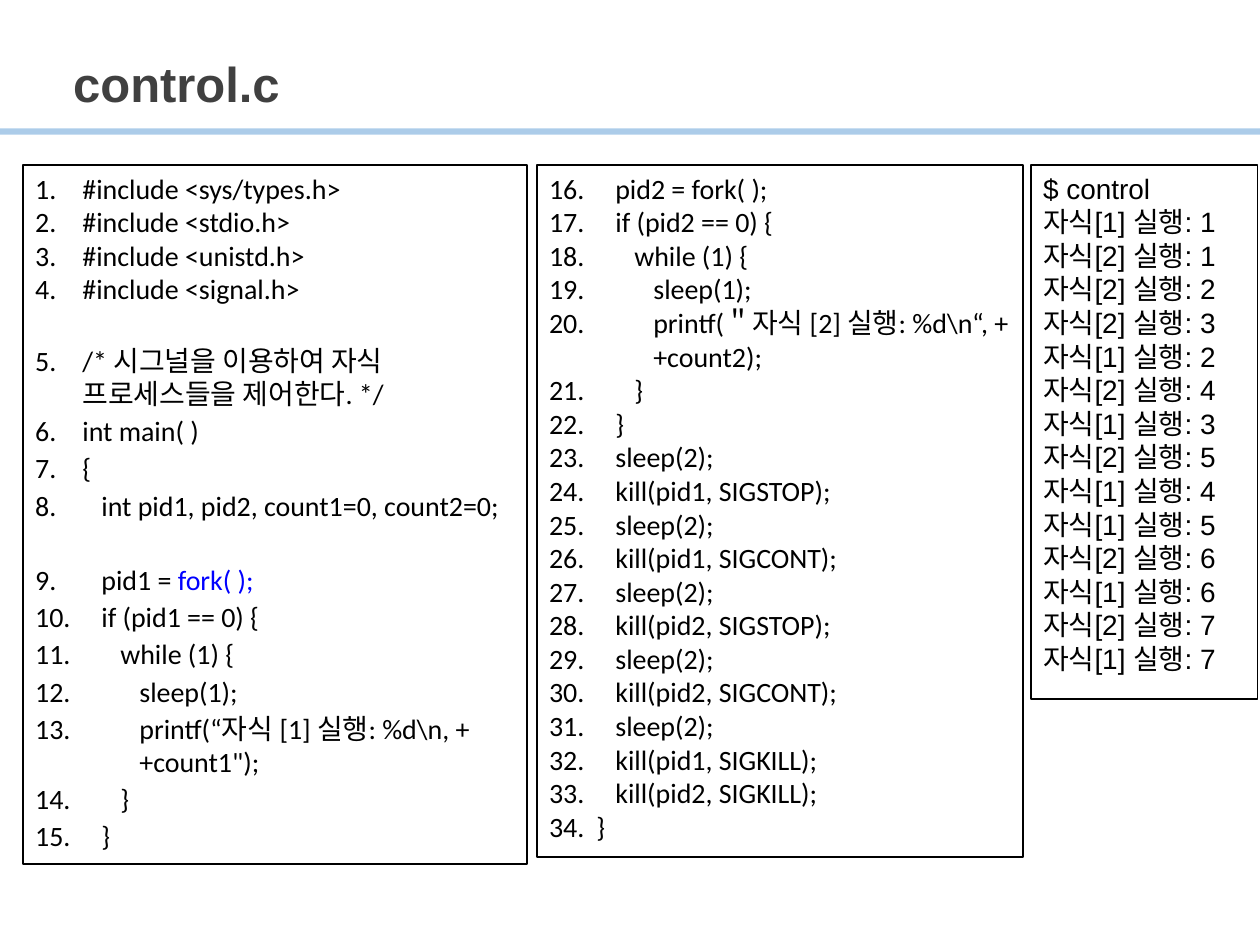
from dataclasses import dataclass

from lxml.etree import SubElement
from pptx import Presentation
from pptx.dml.color import RGBColor as RGB
from pptx.enum.shapes import MSO_SHAPE as SHAPE
from pptx.enum.text import MSO_ANCHOR as ANCHOR, PP_ALIGN as ALIGN
from pptx.oxml.ns import qn
from pptx.util import Pt


@dataclass(frozen=True)
class Theme:
    """Colours, fonts and sizes of the slide."""
    black: RGB = RGB(0, 0, 0)
    white: RGB = RGB(255, 255, 255)
    title: RGB = RGB(0x40, 0x40, 0x40)
    rule: RGB = RGB(0x5B, 0x9B, 0xD5)
    accent: RGB = RGB(0, 0, 255)
    head_font: str = "Arial"
    code_font: str = "Calibri"
    title_size: Pt = Pt(28)
    size: Pt = Pt(16)
    line: float = 19.5
    hang: float = 27
    space: float = 3.62


T = Theme()

SETUP_CODE = r"""#include <sys/types.h>
#include <stdio.h>
#include <unistd.h>
#include <signal.h>

/* 시그널을 이용하여 자식 프로세스들을 제어한다. */
int main( )
{
   int pid1, pid2, count1=0, count2=0;

   pid1 = fork( );
   if (pid1 == 0) {
      while (1) {
         sleep(1);
         printf(“자식 [1] 실행: %d\n, ++count1");
      }
   }"""

CONTROL_CODE = r"""   pid2 = fork( );
   if (pid2 == 0) {
      while (1) {
         sleep(1);
         printf(＂자식 [2] 실행: %d\n“, ++count2);
      }
   }
   sleep(2);
   kill(pid1, SIGSTOP);
   sleep(2);
   kill(pid1, SIGCONT);
   sleep(2);
   kill(pid2, SIGSTOP);
   sleep(2);
   kill(pid2, SIGCONT);
   sleep(2);
   kill(pid1, SIGKILL);
   kill(pid2, SIGKILL);
}"""

OUTPUT = [(1, 1), (2, 1), (2, 2), (2, 3), (1, 2), (2, 4), (1, 3),
          (2, 5), (1, 4), (1, 5), (2, 6), (1, 6), (2, 7), (1, 7)]


def set_attrs(obj, **values):
    """Set several attributes of an object."""
    for name, value in values.items():
        setattr(obj, name, value)


def add_run(p, text, font, color=T.black, size=T.size, bold=False):
    """Append a formatted run to a paragraph."""
    r = p.add_run()
    r.text = text
    set_attrs(r.font, name=font, size=size, bold=bold)
    r.font.color.rgb = color


def number(p, start, indent):
    """Number a paragraph and indent its text behind the number."""
    margin = Pt(T.hang + indent)
    pPr = p._p.get_or_add_pPr()
    pPr.set("marL", str(margin))
    pPr.set("indent", str(-margin))
    SubElement(pPr, qn("a:buFont"), typeface="+mj-lt")
    SubElement(pPr, qn("a:buAutoNum"), type="arabicPeriod", startAt=str(start))


def add_box(s, box):
    """Add an outlined white box and return its text frame."""
    sp = s.shapes.add_shape(SHAPE.RECTANGLE, *map(Pt, box))
    sp.shadow.inherit = False
    sp.fill.solid()
    sp.fill.fore_color.rgb = T.white
    sp.line.color.rgb = T.black
    sp.line.width = Pt(1)
    set_attrs(sp.text_frame, word_wrap=True, vertical_anchor=ANCHOR.TOP)
    return sp.text_frame


def next_paragraph(tf, first):
    """Return the first paragraph of a frame or a new one, left-aligned."""
    p = tf.paragraphs[0] if first else tf.add_paragraph()
    p.alignment = ALIGN.LEFT
    return p


def add_header(s, box, rule_box, text):
    """Place the title and the pale rule under it."""
    title = s.shapes.title
    set_attrs(title, **dict(zip(("left", "top", "width", "height"), map(Pt, box))))
    tf = title.text_frame
    set_attrs(tf, word_wrap=True, vertical_anchor=ANCHOR.BOTTOM)
    p = next_paragraph(tf, True)
    p.line_spacing = 0.9
    add_run(p, text, T.head_font, T.title, T.title_size, True)

    rule = s.shapes.add_shape(SHAPE.RECTANGLE, *map(Pt, rule_box))
    rule.shadow.inherit = False
    rule.line.fill.background()
    rule.fill.solid()
    rule.fill.fore_color.rgb = T.rule
    SubElement(rule._element.spPr.find(".//" + qn("a:srgbClr")),
               qn("a:alpha"), val="50000")


def add_code(s, box, code, start=1, accent=None):
    """Place a numbered listing; an empty source line widens the spacing."""
    tf = add_box(s, box)
    spacing = gap = 0
    for i, line in enumerate(code.split("\n")):
        if not line:
            gap, spacing = T.line + spacing, 2
            continue
        p = next_paragraph(tf, i == 0)
        p.space_before = Pt(spacing + gap)
        gap = 0
        text = line.lstrip()
        number(p, start, (len(line) - len(text)) * T.space)
        if accent and text.endswith(accent):
            add_run(p, text.removesuffix(accent), T.code_font)
            add_run(p, accent, T.code_font, T.accent)
        else:
            add_run(p, text, T.code_font)


def add_output(s, box, lines):
    """Place the terminal output."""
    tf = add_box(s, box)
    for i, line in enumerate(lines):
        add_run(next_paragraph(tf, i == 0), line, T.head_font)


def main():
    """Build and save the slide."""
    prs = Presentation()
    set_attrs(prs, slide_width=Pt(720), slide_height=Pt(540))
    s = prs.slides.add_slide(prs.slide_layouts[5])
    top = 94.3
    add_header(s, (34.6, 10.8, 652.3, 57.6), (0, 73.4, 720, 3.6), "control.c")
    add_code(s, (13, top, 288, 399.6), SETUP_CODE, accent="fork( );")
    add_code(s, (306.7, top, 277.9, 395.3), CONTROL_CODE, start=16)
    add_output(s, (589, top, 129.6, 305.3),
               ["$ control"] + [f"자식[{child}] 실행: {n}" for child, n in OUTPUT])
    prs.save("out.pptx")


if __name__ == "__main__":
    main()
